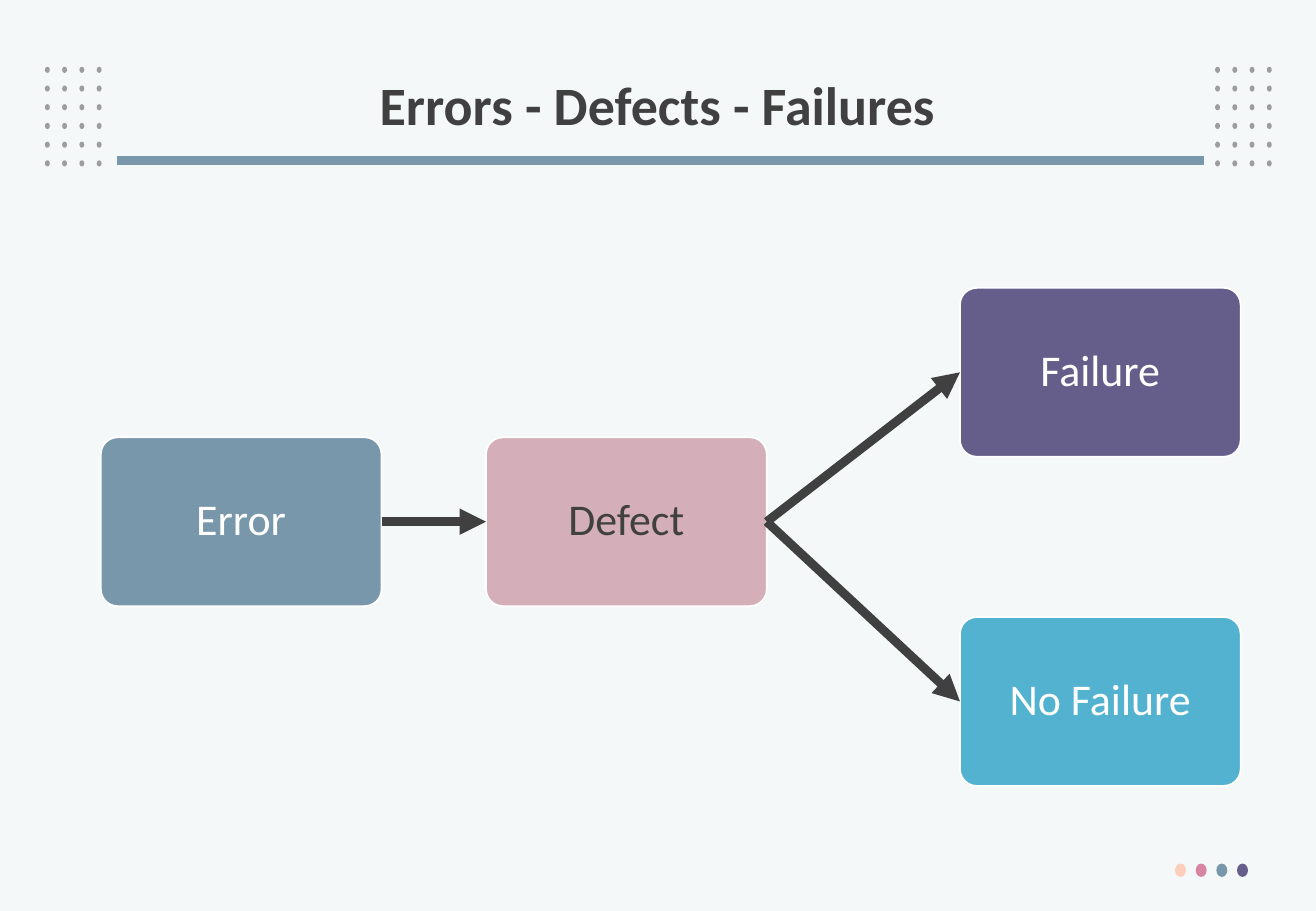
from dataclasses import dataclass

from lxml.etree import SubElement
from pptx import Presentation
from pptx.dml.color import RGBColor
from pptx.enum.shapes import MSO_CONNECTOR, MSO_SHAPE
from pptx.enum.text import MSO_ANCHOR, MSO_AUTO_SIZE, PP_ALIGN
from pptx.oxml.ns import qn
from pptx.util import Inches, Pt


@dataclass(frozen=True)
class Theme:
    font: str = "Calibri"
    background: str = "F5F8F9"
    ink: str = "404040"
    white: str = "FFFFFF"
    dot: str = "9D9D9D"
    blue: str = "7897AB"
    pink: str = "D4AFB9"
    purple: str = "655D8A"
    sky: str = "52B2CF"
    peach: str = "FDCEB9"
    rose: str = "D885A3"
    title_size: float = 32
    label_size: float = 26
    outline: float = 1
    stroke: float = 5.25


THEME = Theme()
TOP, LEFT, BOTTOM, RIGHT = range(4)


def rgb(color):
    return RGBColor.from_string(color)


def add_filled(slide, preset, box, color):
    shape = slide.shapes.add_shape(preset, *map(Inches, box))
    shape.shadow.inherit = False
    shape.fill.solid()
    shape.fill.fore_color.rgb = rgb(color)
    shape.line.fill.background()
    return shape


def add_line(slide, color, start=(0, 0), end=(0, 0)):
    line = slide.shapes.add_connector(
        MSO_CONNECTOR.STRAIGHT, *map(Inches, (*start, *end)))
    line.line.color.rgb = rgb(color)
    line.line.width = Pt(THEME.stroke)
    SubElement(line._element.spPr, qn("a:effectLst"))
    return line


def write(shape, text, size, color, bold=False):
    frame = shape.text_frame
    frame.text = text
    frame.word_wrap = True
    frame.auto_size = MSO_AUTO_SIZE.NONE
    frame.vertical_anchor = MSO_ANCHOR.MIDDLE
    paragraph = frame.paragraphs[0]
    paragraph.alignment = PP_ALIGN.CENTER
    paragraph.line_spacing = 0.9
    font = paragraph.runs[0].font
    font.name, font.size, font.bold = THEME.font, Pt(size), bold
    font.color.rgb = rgb(color)


def add_dot_grid(slide, left, top, columns=4, rows=6):
    for row in range(rows):
        for column in range(columns):
            box = (left + column * 0.142, top + row * 0.154, 0.04, 0.05)
            add_filled(slide, MSO_SHAPE.OVAL, box, THEME.dot)


def add_header(slide, left, top, width, height):
    title = slide.shapes.title
    title.left, title.top = Inches(left), Inches(top)
    title.width, title.height = Inches(width), Inches(height)
    write(title, "Errors - Defects - Failures", THEME.title_size, THEME.ink, True)
    for grid_left in (left - 0.37, left + width - 0.08):
        add_dot_grid(slide, grid_left, top + 0.15)
    rule_y = top + height - 0.06
    add_line(slide, THEME.blue, (left + 0.22, rule_y), (left + width - 0.17, rule_y))


def add_stage(slide, text, left, top, fill, text_color=THEME.white):
    stage = add_filled(
        slide, MSO_SHAPE.ROUNDED_RECTANGLE, (left, top, 2.31, 1.39), fill)
    stage.adjustments[0] = 0.1
    stage.line.color.rgb = rgb(THEME.white)
    stage.line.width = Pt(THEME.outline)
    write(stage, text, THEME.label_size, text_color)
    return stage


def add_arrow(slide, source, target):
    arrow = add_line(slide, THEME.ink)
    arrow.begin_connect(source, RIGHT)
    arrow.end_connect(target, LEFT)
    SubElement(arrow.line._get_or_add_ln(), qn("a:tailEnd"), type="triangle")


def add_flow(slide, left, top):
    error = add_stage(slide, "Error", left, top + 1.23, THEME.blue)
    defect = add_stage(
        slide, "Defect", left + 3.17, top + 1.23, THEME.pink, THEME.ink)
    failure = add_stage(slide, "Failure", left + 7.07, top, THEME.purple)
    no_failure = add_stage(slide, "No Failure", left + 7.07, top + 2.71, THEME.sky)
    for source, target in ((error, defect), (defect, failure), (defect, no_failure)):
        add_arrow(slide, source, target)


def add_footer_dots(slide, left, top):
    colors = (THEME.peach, THEME.rose, THEME.blue, THEME.purple)
    for index, color in enumerate(colors):
        add_filled(slide, MSO_SHAPE.OVAL, (left + index * 0.17, top, 0.09, 0.11), color)


def main():
    deck = Presentation()
    deck.slide_width, deck.slide_height = Inches(10.83), Inches(7.5)
    slide = deck.slides.add_slide(deck.slide_layouts.get_by_name("Title Only"))
    slide.background.fill.solid()
    slide.background.fill.fore_color.rgb = rgb(THEME.background)
    add_header(slide, 0.74, 0.4, 9.34, 0.98)
    add_flow(slide, 0.83, 2.37)
    add_footer_dots(slide, 9.67, 7.11)
    deck.save("out.pptx")


if __name__ == "__main__":
    main()
